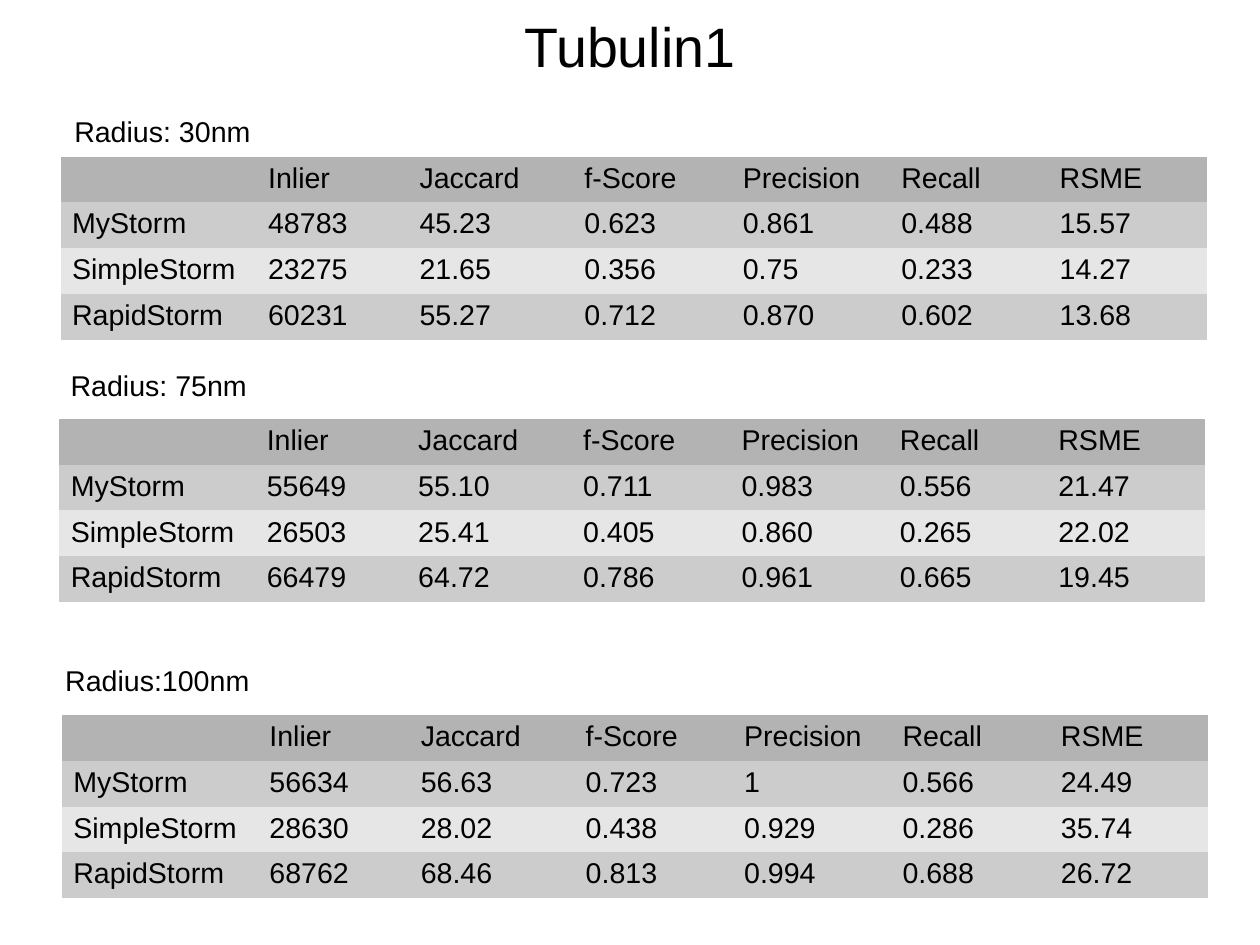
from pptx import Presentation
from pptx.dml.color import RGBColor
from pptx.enum.text import MSO_ANCHOR, PP_ALIGN
from pptx.util import Pt

LEFT = PP_ALIGN.LEFT
CENTER = PP_ALIGN.CENTER
TOP = MSO_ANCHOR.TOP
MIDDLE = MSO_ANCHOR.MIDDLE
PLAIN = "{2D5ABB26-0587-4C30-8999-92F81FD0307C}"

HEAD = ["", "Inlier", "Jaccard", "f-Score", "Precision", "Recall", "RSME"]
TOOLS = ["MyStorm", "SimpleStorm", "RapidStorm"]
COLS = [123.5, 95.4, 103.9] + [99.8] * 4
FILLS = ["B3B3B3", "CCCCCC", "E6E6E6", "CCCCCC"]
ROW = 28.8

GROUPS = [
    ("Radius: 30nm", (39.7, 68.4, 153.4, 27.4), (38.2, 98.6), [
        ["48783", "45.23", "0.623", "0.861", "0.488", "15.57"],
        ["23275", "21.65", "0.356", "0.75", "0.233", "14.27"],
        ["60231", "55.27", "0.712", "0.870", "0.602", "13.68"]]),
    ("Radius: 75nm", (37.4, 228.2, 169.9, 27.4), (37.4, 263.9), [
        ["55649", "55.10", "0.711", "0.983", "0.556", "21.47"],
        ["26503", "25.41", "0.405", "0.860", "0.265", "22.02"],
        ["66479", "64.72", "0.786", "0.961", "0.665", "19.45"]]),
    ("Radius:100nm", (34, 414, 169.9, 27.4), (39, 450.4), [
        ["56634", "56.63", "0.723", "1", "0.566", "24.49"],
        ["28630", "28.02", "0.438", "0.929", "0.286", "35.74"],
        ["68762", "68.46", "0.813", "0.994", "0.688", "26.72"]]),
]


def color(code):
    """Turn a hex string into a colour."""
    return RGBColor.from_string(code)


def write(para, text, size=18):
    """Fill a paragraph with black Arial text."""
    para.text = text
    para.font.name = "Arial"
    para.font.size = Pt(size)
    para.font.color.rgb = color("000000")


def label(slide, box, text, size=18, align=LEFT, anchor=TOP):
    """Place one line of text in a box."""
    frame = slide.shapes.add_textbox(*map(Pt, box)).text_frame
    frame.word_wrap = True
    frame.vertical_anchor = anchor
    para = frame.paragraphs[0]
    para.alignment = align
    write(para, text, size)


def grid(slide, spot, scores):
    """Place a score table with its top left corner at a spot."""
    rows = [HEAD] + [[tool] + line for tool, line in zip(TOOLS, scores)]
    size = (sum(COLS), ROW * len(rows))
    frame = slide.shapes.add_table(
        len(rows), len(COLS), *map(Pt, spot + size))
    next(frame.element.iter("{*}tableStyleId")).text = PLAIN
    table = frame.table
    table.first_row = table.horz_banding = False
    for col, width in zip(table.columns, COLS):
        col.width = Pt(width)
    for row, texts, fill in zip(table.rows, rows, FILLS):
        row.height = Pt(ROW)
        for cell, text in zip(row.cells, texts):
            cell.fill.solid()
            cell.fill.fore_color.rgb = color(fill)
            write(cell.text_frame.paragraphs[0], text)


def main():
    """Build and save the slide."""
    deck = Presentation()
    deck.slide_width, deck.slide_height = Pt(793.7), Pt(595.28)
    slide = deck.slides.add_slide(deck.slide_layouts[6])
    label(slide, (39.7, 5.8, 714.2, 45.4), "Tubulin1", 35, CENTER, MIDDLE)
    for name, box, spot, scores in GROUPS:
        label(slide, box, name)
        grid(slide, spot, scores)
    deck.save("out.pptx")


if __name__ == "__main__":
    main()
